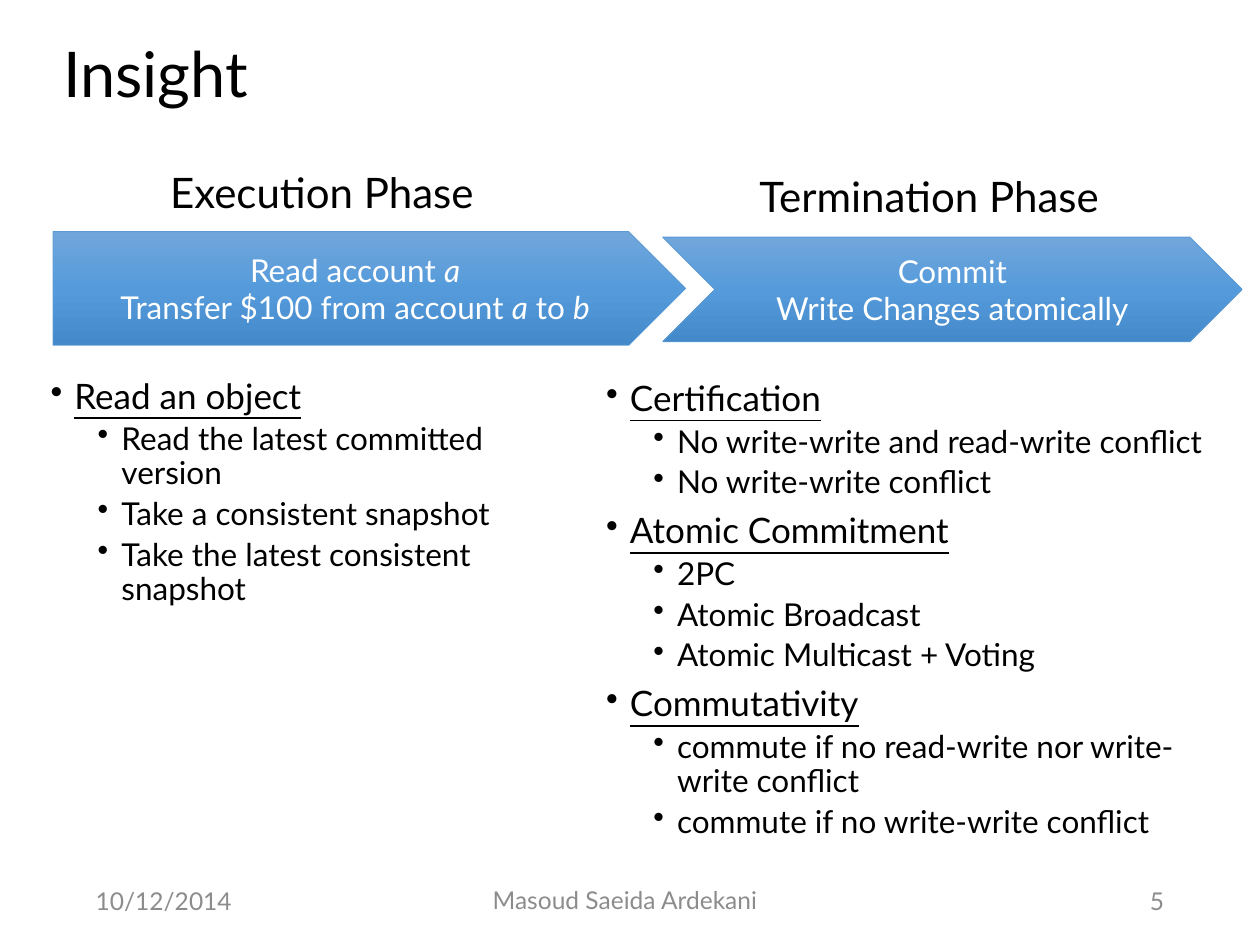
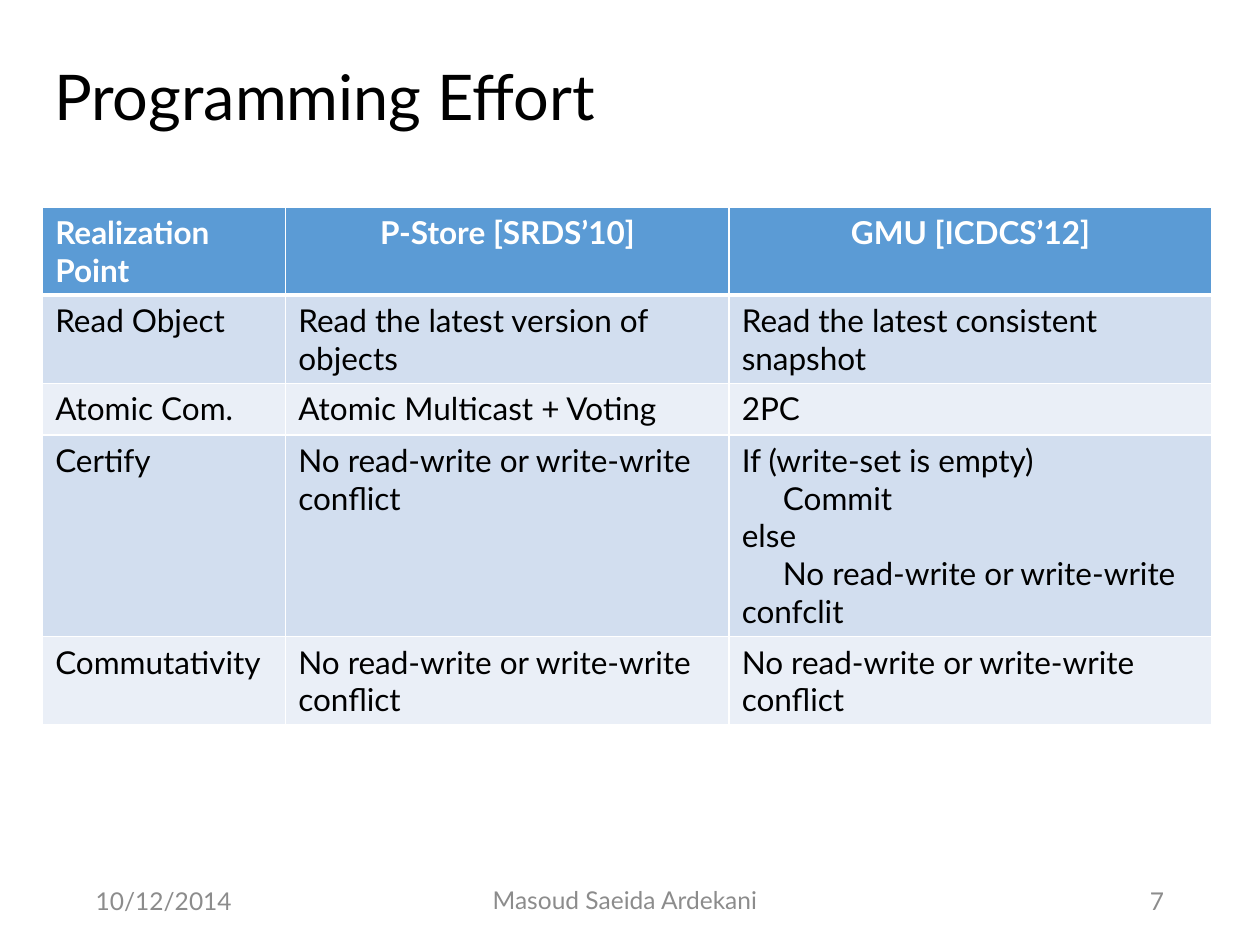
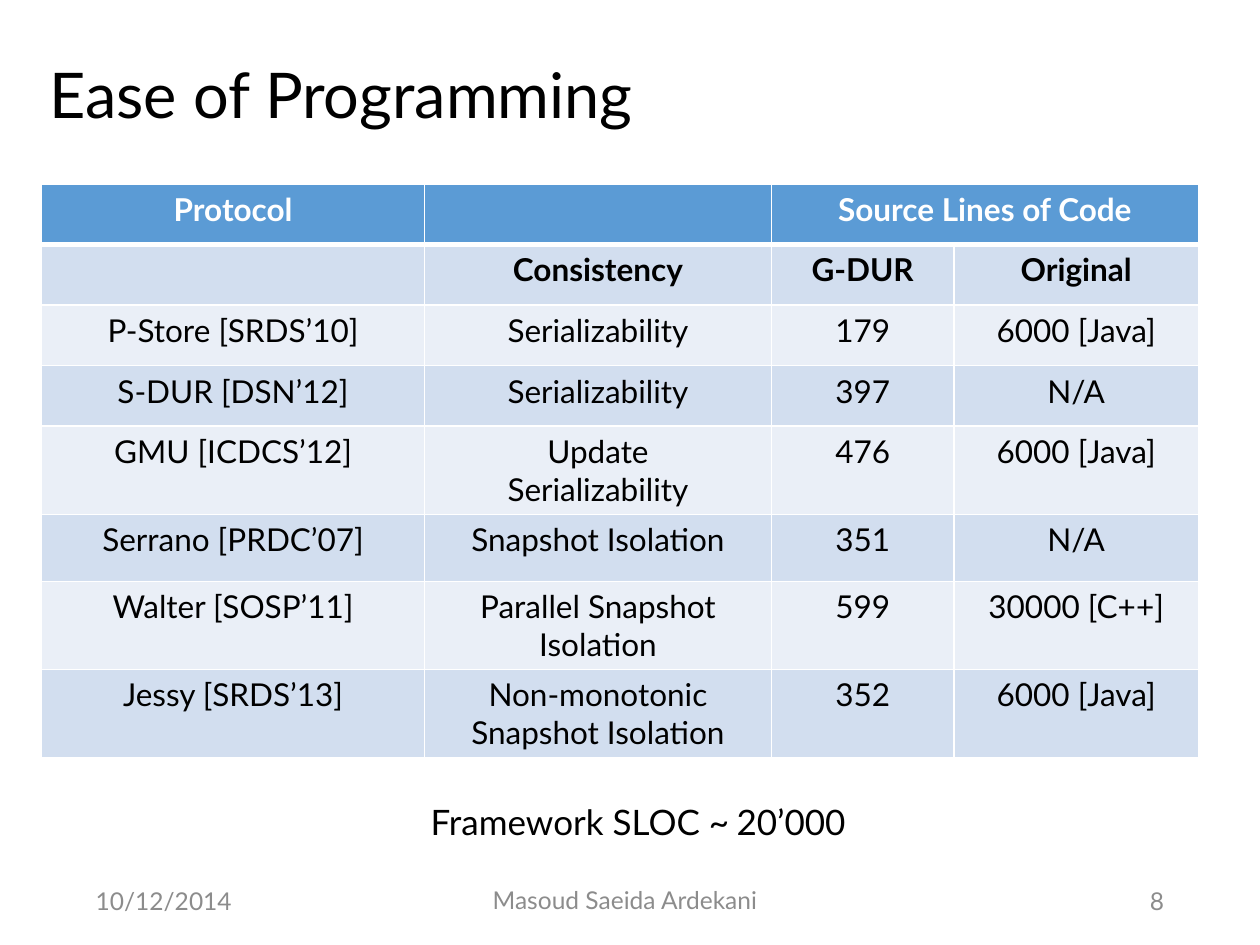
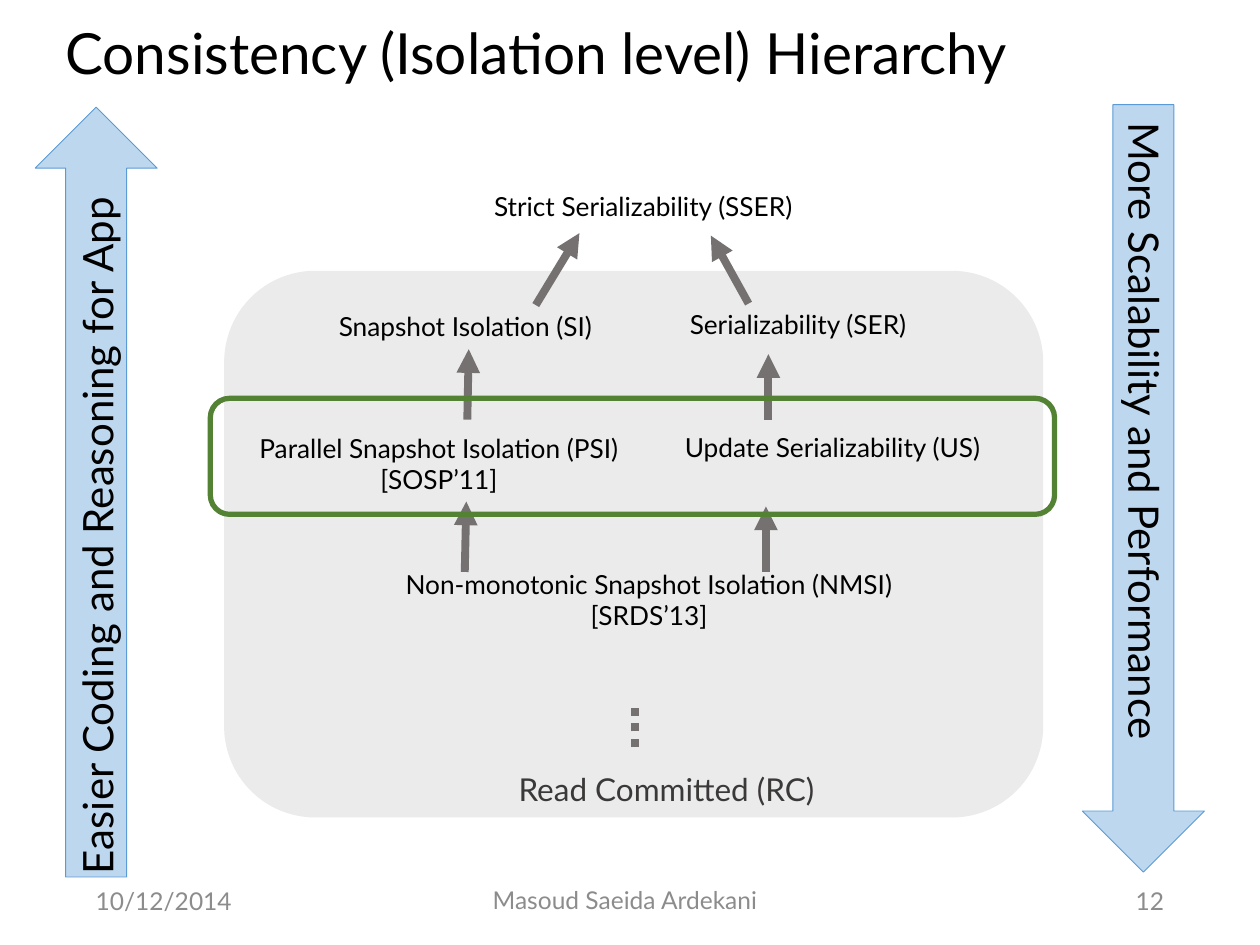
"""Build four slides on phases, programming effort and consistency levels of transactional protocols."""
from copy import deepcopy

from lxml.etree import SubElement
from pptx import Presentation
from pptx.dml.color import RGBColor
from pptx.enum.dml import MSO_LINE
from pptx.enum.shapes import MSO_CONNECTOR, MSO_SHAPE as SHAPE
from pptx.enum.text import MSO_ANCHOR as ANCHOR, MSO_AUTO_SIZE as AUTO, PP_ALIGN as ALIGN
from pptx.oxml import parse_xml
from pptx.oxml.ns import nsdecls, qn
from pptx.util import Cm, Pt

FONT = "Lato"
BLACK = RGBColor(0x00, 0x00, 0x00)
WHITE = RGBColor(0xFF, 0xFF, 0xFF)
FOOTER_GRAY = RGBColor(0x8C, 0x8C, 0x8C)
ARROW_GRAY = RGBColor(0x76, 0x71, 0x71)
DARK_GRAY = RGBColor(0x3B, 0x38, 0x38)
PANEL_GRAY = RGBColor(0xEB, 0xEB, 0xEB)
BLUE = RGBColor(0x5B, 0x9B, 0xD5)
PALE_BLUE = RGBColor(0xBD, 0xD7, 0xEE)
GREEN = RGBColor(0x54, 0x82, 0x35)
BANDS = (RGBColor(0xEA, 0xEF, 0xF7), RGBColor(0xD2, 0xDE, 0xEF))
GRADIENT = (RGBColor(0x71, 0xA6, 0xDB), RGBColor(0x55, 0x9B, 0xDB), RGBColor(0x44, 0x8A, 0xCA))
TIGHT = (0.18, 0.1)
ROOMY = (0.25, 0.13)


def add_run(p, text, size=18, color=BLACK, bold=False, italic=False, underline=False):
    r = p.add_run()
    r.text = text
    f = r.font
    f.name, f.size, f.color.rgb = FONT, Pt(size), color
    f.bold, f.italic, f.underline = bold, italic, underline


def fill_text(tf, lines, align=ALIGN.LEFT, **fmt):
    for i, line in enumerate(lines):
        p = tf.paragraphs[0] if i == 0 else tf.add_paragraph()
        p.alignment = align
        pieces = [(line, {})] if isinstance(line, str) else line
        for text, extra in pieces:
            add_run(p, text, **{**fmt, **extra})


def set_frame(tf, inset=TIGHT, anchor=ANCHOR.TOP, wrap=True, grow=False):
    tf.word_wrap = wrap
    tf.auto_size = AUTO.SHAPE_TO_FIT_TEXT if grow else AUTO.NONE
    tf.vertical_anchor = anchor
    tf.margin_left = tf.margin_right = Cm(inset[0])
    tf.margin_top = tf.margin_bottom = Cm(inset[1])


def set_borders(cell, top, bottom):
    tc_pr = cell._tc.get_or_add_tcPr()
    for i, (side, width) in enumerate((("L", 1), ("R", 1), ("T", top), ("B", bottom))):
        tc_pr.insert(i, parse_xml(
            f'<a:ln{side} {nsdecls("a")} w="{Pt(width)}"><a:solidFill>'
            f'<a:srgbClr val="{WHITE}"/></a:solidFill></a:ln{side}>'))


class Deck:
    def __init__(self):
        self.prs = Presentation()
        self.prs.slide_width, self.prs.slide_height = Cm(25.4), Cm(19.05)
        self.s = None

    def slide(self, title, box, number, size=36):
        self.s = self.prs.slides.add_slide(self.prs.slide_layouts[5])
        sp = self.s.shapes.title
        sp.left, sp.top, sp.width, sp.height = map(Cm, box)
        set_frame(sp.text_frame, anchor=ANCHOR.MIDDLE)
        fill_text(sp.text_frame, [title], size=size)
        sp.text_frame.paragraphs[0].line_spacing = 0.9
        for text, place, align in (
                ("10/12/2014", (1.75, 17.65, 5.72, 1.02), ALIGN.LEFT),
                ("Masoud Saeida Ardekani", (5.59, 17.6, 14.02, 1.07), ALIGN.CENTER),
                (str(number), (17.93, 17.65, 5.72, 1.02), ALIGN.RIGHT)):
            self.text([text], place, align, frame=dict(anchor=ANCHOR.MIDDLE),
                      size=14, color=FOOTER_GRAY)

    def text(self, lines, box, align=ALIGN.LEFT, frame=None, rotation=0, **fmt):
        sp = self.s.shapes.add_textbox(*map(Cm, box))
        sp.rotation = rotation
        set_frame(sp.text_frame, **(frame or {}))
        fill_text(sp.text_frame, lines, align, **fmt)

    def caption(self, lines, box, size=24, rotation=0):
        self.text(lines, box, frame=dict(inset=ROOMY, wrap=False, grow=True),
                  size=size, rotation=rotation)

    def label(self, lines, box, size=15, color=BLACK):
        self.text(lines, box, ALIGN.CENTER, dict(grow=True), size=size, color=color)

    def outline(self, groups, box):
        tf = self.s.shapes.add_textbox(*map(Cm, box)).text_frame
        set_frame(tf)
        items = [(level, text) for head, subs in groups
                 for level, text in [(0, head)] + [(1, sub) for sub in subs]]
        for i, (level, text) in enumerate(items):
            p = tf.paragraphs[0] if i == 0 else tf.add_paragraph()
            p.level, p.line_spacing = level, 0.9
            p.space_before = Pt((7.5, 3.8)[level])
            p_pr = p._p.get_or_add_pPr()
            p_pr.set("marL", str(Cm((0.48, 1.43)[level])))
            p_pr.set("indent", str(Cm(-0.48)))
            SubElement(p_pr, qn("a:buChar")).set("char", "•")
            add_run(p, text, size=(20, 18)[level], underline=level == 0)

    def shape(self, kind, box, fill=None, line=None, width=0.5):
        sp = self.s.shapes.add_shape(kind, *map(Cm, box))
        sp.shadow.inherit = False
        if fill is None:
            sp.fill.background()
        else:
            sp.fill.solid()
            sp.fill.fore_color.rgb = fill
        if line is None:
            sp.line.fill.background()
        else:
            sp.line.color.rgb, sp.line.width = line, Pt(width)
        return sp

    def phase(self, kind, box, lines):
        sp = self.shape(kind, box, BLUE, BLUE)
        sp.fill.gradient()
        sp.fill.gradient_angle = 270
        stops = next(sp.element.iter(qn("a:gsLst")))
        stops.append(deepcopy(stops[0]))
        for i, stop in enumerate(sp.fill.gradient_stops):
            stop.position, stop.color.rgb = i / 2, GRADIENT[i]
        set_frame(sp.text_frame, ROOMY, ANCHOR.MIDDLE)
        fill_text(sp.text_frame, lines, ALIGN.CENTER, color=WHITE)

    def line(self, *ends, dotted=False):
        c = self.s.shapes.add_connector(MSO_CONNECTOR.STRAIGHT, *map(Cm, ends))
        c.line.color.rgb, c.line.width = ARROW_GRAY, Pt(4.5)
        if dotted:
            c.line.dash_style = MSO_LINE.ROUND_DOT
        else:
            SubElement(c.line._get_or_add_ln(), qn("a:tailEnd")).set("type", "triangle")
        SubElement(c.element.spPr, qn("a:effectLst"))

    def table(self, rows, left, top, widths, heights, align, bold_rows=1):
        tbl = self.s.shapes.add_table(len(rows), len(widths), Cm(left), Cm(top),
                                      Cm(sum(widths)), Cm(sum(heights))).table
        for col, width in zip(tbl.columns, widths):
            col.width = Cm(width)
        for i, (row, height) in enumerate(zip(rows, heights)):
            tbl.rows[i].height = Cm(height)
            for j, text in enumerate(row):
                cell = tbl.cell(i, j)
                cell.fill.solid()
                cell.fill.fore_color.rgb = BANDS[i % 2] if i else BLUE
                set_borders(cell, 3 if i == 1 else 1, 1 if i else 3)
                if text:
                    fill_text(cell.text_frame, text.split("\n"), align(i, j),
                              color=BLACK if i else WHITE, bold=i < bold_rows)
        return tbl


deck = Deck()

deck.slide("Insight", (1.09, 0.76, 21.9, 1.57), 5)
deck.phase(SHAPE.CHEVRON, (13.36, 4.78, 11.68, 2.11), ["Commit", "Write Changes atomically"])
ITALIC = dict(italic=True)
deck.phase(SHAPE.PENTAGON, (1.07, 4.67, 12.75, 2.29), [
    [("Read account ", {}), ("a", ITALIC)],
    [("Transfer $100 from account ", {}), ("a", ITALIC), (" to ", {}), ("b", ITALIC)]])
deck.outline([("Read an object", ["Read the latest committed version",
                                  "Take a consistent snapshot",
                                  "Take the latest consistent snapshot"])],
             (0.84, 7.54, 10.8, 6.91))
deck.outline([
    ("Certification", ["No write-write and read-write conflict", "No write-write conflict"]),
    ("Atomic Commitment", ["2PC", "Atomic Broadcast", "Atomic Multicast + Voting"]),
    ("Commutativity", ["commute if no read-write nor write-write conflict",
                       "commute if no write-write conflict"])],
    (12.04, 7.59, 13, 9.78))
deck.caption(["Execution Phase"], (3.18, 3.23, 7.16, 1.27))
deck.caption(["Termination Phase"], (15.06, 3.3, 8.08, 1.27))

deck.slide("Programming Effort", (0.91, 0.18, 21.9, 3.68), 7)
CONFLICT = "No read-write or write-write conflict"
effort = deck.table([
    ("Realization Point", "P-Store [SRDS’10]", "GMU [ICDCS’12]"),
    ("Read Object", "Read the latest version of objects", "Read the latest consistent snapshot"),
    ("Atomic Com.", "Atomic Multicast + Voting", "2PC"),
    ("Certify", CONFLICT,
     "If (write-set is empty)\nCommit\nelse\nNo read-write or write-write confclit"),
    ("Commutativity", CONFLICT, CONFLICT)],
    0.86, 4.17, (4.9, 8.94, 9.73), [1.04] * 5,
    lambda i, j: ALIGN.CENTER if i == 0 and j else ALIGN.LEFT)
for p in effort.cell(3, 2).text_frame.paragraphs[1::2]:
    p._p.get_or_add_pPr().set("indent", str(Cm(0.83)))

deck.slide("Ease of Programming", (0.81, 0.13, 21.9, 3.68), 8)
ease = deck.table([
    ("Protocol", "", "Source Lines of Code", ""),
    ("", "Consistency", "G-DUR", "Original"),
    ("P-Store [SRDS’10]", "Serializability", "179", "6000 [Java]"),
    ("S-DUR [DSN’12]", "Serializability", "397", "N/A"),
    ("GMU [ICDCS’12]", "Update\nSerializability", "476", "6000 [Java]"),
    ("Serrano [PRDC’07]", "Snapshot Isolation", "351", "N/A"),
    ("Walter [SOSP’11]", "Parallel Snapshot Isolation", "599", "30000 [C++]"),
    ("Jessy [SRDS’13]", "Non-monotonic Snapshot Isolation", "352", "6000 [Java]")],
    0.84, 3.71, (7.72, 6.99, 3.68, 4.93), [1.22] * 5 + [1.35] + [1.22] * 2,
    lambda i, j: ALIGN.CENTER, bold_rows=2)
ease.cell(0, 2).merge(ease.cell(0, 3))
deck.caption([[("Framework SLOC ~", {}), (" ", dict(size=16)), ("20’000", {})]],
             (8.43, 16, 9.55, 1.12), size=20)

deck.slide("Consistency (Isolation level) Hierarchy", (1.14, 0.25, 21.9, 1.78), 12, size=32.4)
deck.shape(SHAPE.ROUNDED_RECTANGLE, (4.52, 5.46, 16.51, 11.02), PANEL_GRAY)
for ends in ((15.49, 8.46, 15.49, 7.14), (10.8, 6.15, 11.68, 4.7),
             (15.09, 6.12, 14.33, 4.75), (9.42, 8.46, 9.45, 7.04),
             (15.44, 11.53, 15.44, 10.21), (9.37, 11.53, 9.4, 10.11)):
    deck.line(*ends)
deck.line(12.8, 15.06, 12.8, 14.12, dotted=True)
for lines, box in (
        (["Strict Serializability (SSER)"], (8.74, 3.73, 8.46, 0.84)),
        (["Snapshot Isolation (SI)"], (5.84, 6.15, 7.09, 0.84)),
        (["Serializability (SER)"], (12.9, 6.12, 6.38, 0.84)),
        (["Update Serializability (US)"], (12.57, 8.59, 8.43, 0.84)),
        (["Parallel Snapshot Isolation (PSI)", "[SOSP’11]"], (3.68, 8.61, 10.34, 1.47)),
        (["Non-monotonic Snapshot Isolation (NMSI)", "[SRDS’13]"], (7.32, 11.35, 11.53, 1.47))):
    deck.label(lines, box)
deck.label(["Read Committed (RC)"], (9.04, 15.42, 8.79, 0.97), size=18, color=DARK_GRAY)
deck.shape(SHAPE.UP_ARROW, (0.71, 2.16, 2.46, 15.52), PALE_BLUE, BLUE)
deck.caption(["Easier Coding and Reasoning for App"], (-5.94, 9.35, 15.77, 1.27), rotation=270)
deck.shape(SHAPE.DOWN_ARROW, (21.82, 2.11, 2.46, 15.47), PALE_BLUE, BLUE)
deck.caption(["More Scalability and Performance"], (15.98, 8.69, 14.22, 1.27), rotation=90)
deck.shape(SHAPE.ROUNDED_RECTANGLE, (4.24, 8.03, 17.02, 2.34), line=GREEN, width=3)

deck.prs.save("out.pptx")
